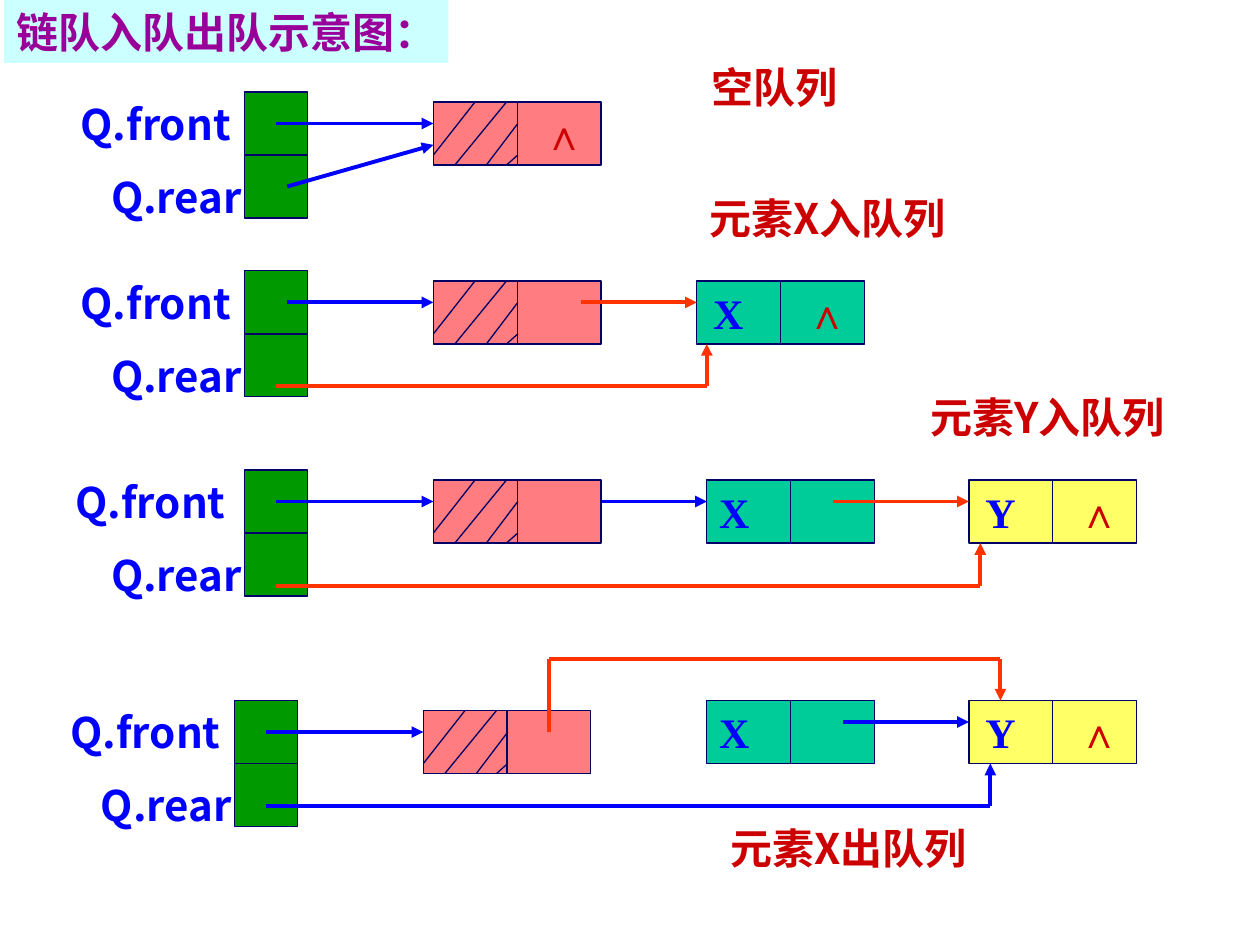
from dataclasses import dataclass
from itertools import pairwise

from pptx import Presentation
from pptx.dml.color import RGBColor
from pptx.enum.shapes import MSO_CONNECTOR as Connector, MSO_SHAPE as Preset
from pptx.enum.text import MSO_ANCHOR as Anchor, MSO_AUTO_SIZE as AutoSize, PP_ALIGN as Align
from pptx.oxml.ns import qn
from pptx.util import Inches, Pt


@dataclass(frozen=True)
class Theme:
    outline: str = "000066"
    pointer: str = "0000FF"
    change: str = "FF3300"
    caption: str = "CC0000"
    title: str = "990099"
    title_fill: str = "CCFFFF"
    queue_fill: str = "009900"
    head_fill: str = "FF7C80"
    x_fill: str = "00CC99"
    y_fill: str = "FFFF66"
    cjk_font: str = "Noto Sans CJK SC"
    title_font: str = "Montserrat"
    symbol_font: str = "Arial"
    node_font: str = "Times New Roman"
    size: int = 24
    thin: float = 0.75
    thick: float = 2.25


NODE_WIDTH, NODE_HEIGHT = 1.33, 0.5
QUEUE_WIDTH, QUEUE_HEIGHT = 0.5, 1
HATCHES = [((0.33, 0), (0, 0.42)), ((0.58, 0), (0.17, 0.5)),
           ((0.67, 0.17), (0.42, 0.5)), ((0.67, 0.42), (0.58, 0.5))]
NULL = "∧"


class QueueDiagram:
    def __init__(self, slide, theme):
        self.slide = slide
        self.theme = theme

    def format_run(self, run, color, font, east_asian=None):
        run.font.size = Pt(self.theme.size)
        run.font.bold = True
        run.font.name = font
        run.font.color.rgb = RGBColor.from_string(color)
        if east_asian:
            element = run.font._element.makeelement(qn("a:ea"), {"typeface": east_asian})
            run.font._element.find(qn("a:latin")).addnext(element)

    def format_frame(self, text_frame, left, right, anchor, wrap=True):
        text_frame.auto_size = AutoSize.NONE
        text_frame.word_wrap = wrap
        text_frame.vertical_anchor = anchor
        text_frame.margin_left, text_frame.margin_right = Inches(left), Inches(right)
        text_frame.margin_top = text_frame.margin_bottom = Inches(0.05)

    def title(self, text, left, top, width, height):
        shape = self.slide.shapes.title
        shape.left, shape.top = Inches(left), Inches(top)
        shape.width, shape.height = Inches(width), Inches(height)
        shape.fill.solid()
        shape.fill.fore_color.rgb = RGBColor.from_string(self.theme.title_fill)
        shape.text_frame.text = text
        self.format_frame(shape.text_frame, 0.1, 0.1, Anchor.TOP, wrap=False)
        paragraph = shape.text_frame.paragraphs[0]
        paragraph.alignment = Align.LEFT
        self.format_run(paragraph.runs[0], self.theme.title, self.theme.title_font,
                        self.theme.cjk_font)

    def label(self, text, left, top, width, height, color, side=0.1, font=None):
        shape = self.slide.shapes.add_textbox(
            Inches(left), Inches(top), Inches(width), Inches(height))
        shape.text_frame.text = text
        self.format_frame(shape.text_frame, side, side, Anchor.TOP)
        paragraph = shape.text_frame.paragraphs[0]
        paragraph.alignment = Align.CENTER
        self.format_run(paragraph.runs[0], color, font or self.theme.cjk_font,
                        self.theme.cjk_font)

    def caption(self, text, left, top, width=2.25, font=None):
        self.label(text, left, top, width, 0.5, self.theme.caption, font=font)

    def box(self, left, top, width, height, fill):
        shape = self.slide.shapes.add_shape(
            Preset.RECTANGLE, Inches(left), Inches(top), Inches(width), Inches(height))
        shape.shadow.inherit = False
        shape.fill.solid()
        shape.fill.fore_color.rgb = RGBColor.from_string(fill)
        shape.line.color.rgb = RGBColor.from_string(self.theme.outline)
        shape.line.width = Pt(self.theme.thin)
        return shape

    def line(self, start, end, color=None, width=None, arrow=False):
        connector = self.slide.shapes.add_connector(
            Connector.STRAIGHT, *map(Inches, start + end))
        connector.line.color.rgb = RGBColor.from_string(color or self.theme.outline)
        connector.line.width = Pt(width or self.theme.thin)
        properties = connector._element.spPr
        if arrow:
            outline = properties.find(qn("a:ln"))
            outline.append(outline.makeelement(qn("a:tailEnd"), {"type": "triangle"}))
        properties.append(properties.makeelement(qn("a:effectLst"), {}))

    def route(self, color, *points):
        for start, end in pairwise(points):
            self.line(start, end, color, self.theme.thick, arrow=end == points[-1])

    def node(self, left, top, fill, value="", null=False):
        shape = self.box(left, top, NODE_WIDTH, NODE_HEIGHT, fill)
        middle = left + NODE_WIDTH / 2
        self.line((middle, top), (middle, top + NODE_HEIGHT))
        if not value and not null:
            return
        self.format_frame(shape.text_frame, 0.13 if null else 0.1, 0, Anchor.MIDDLE)
        paragraph = shape.text_frame.paragraphs[0]
        paragraph.alignment = Align.LEFT
        run = paragraph.add_run()
        run.text = value + "\t" if null else value
        self.format_run(run, self.theme.pointer, self.theme.node_font)
        if null:
            run = paragraph.add_run()
            run.text = NULL
            self.format_run(run, self.theme.caption, self.theme.symbol_font)
            properties = paragraph._p.get_or_add_pPr()
            tabs = properties.makeelement(qn("a:tabLst"), {})
            tabs.append(tabs.makeelement(
                qn("a:tab"), {"pos": str(int(Inches(0.74))), "algn": "l"}))
            properties.append(tabs)

    def head_node(self, left, top, null=False):
        self.node(left, top, self.theme.head_fill, null=null)
        for start, end in HATCHES:
            self.line((left + start[0], top + start[1]), (left + end[0], top + end[1]))

    def queue(self, top, left=1.94, front_start=2.19, front_left=0.61, front_width=1.25,
              null=False):
        self.box(left, top, QUEUE_WIDTH, QUEUE_HEIGHT, self.theme.queue_fill)
        middle = top + QUEUE_HEIGHT / 2
        self.line((left, middle), (left + QUEUE_WIDTH, middle))
        self.label("Q.front", front_left, top, front_width, 0.9, self.theme.pointer, 0.02)
        self.label("Q.rear", left - 1.08, top + 0.58, 1.08, 0.9, self.theme.pointer, 0.02)
        self.head_node(left + 1.5, top + 0.08, null)
        self.route(self.theme.pointer, (front_start, top + 0.25), (left + 1.5, top + 0.25))


def main():
    presentation = Presentation()
    presentation.slide_width, presentation.slide_height = Inches(10), Inches(7.5)
    slide = presentation.slides.add_slide(presentation.slide_layouts[5])
    theme = Theme()
    diagram = QueueDiagram(slide, theme)
    diagram.title("链队入队出队示意图：", 0.03, 0, 3.53, 0.5)

    diagram.queue(0.73, null=True)
    diagram.route(theme.pointer, (2.28, 1.48), (3.44, 1.15))
    diagram.caption("空队列", 5.48, 0.44, 1.33, theme.symbol_font)

    diagram.queue(2.15, front_start=2.28)
    diagram.node(5.53, 2.23, theme.x_fill, "X", null=True)
    diagram.route(theme.change, (4.61, 2.4), (5.53, 2.4))
    diagram.route(theme.change, (2.19, 3.06), (5.61, 3.06), (5.61, 2.73))
    diagram.caption("元素X入队列", 5.44, 1.48)

    diagram.queue(3.73, front_left=0.53, front_width=1.33)
    diagram.node(5.61, 3.81, theme.x_fill, "X")
    diagram.node(7.69, 3.81, theme.y_fill, "Y", null=True)
    diagram.route(theme.pointer, (4.78, 3.98), (5.61, 3.98))
    diagram.route(theme.change, (6.61, 3.98), (7.69, 3.98))
    diagram.route(theme.change, (2.19, 4.65), (7.78, 4.65), (7.78, 4.31))
    diagram.caption("元素Y入队列", 7.19, 3.06)

    diagram.queue(5.56, left=1.86, front_start=2.11, front_left=0.53)
    diagram.node(5.61, 5.56, theme.x_fill, "X")
    diagram.node(7.69, 5.56, theme.y_fill, "Y", null=True)
    diagram.route(theme.pointer, (6.69, 5.73), (7.69, 5.73))
    diagram.route(theme.pointer, (2.11, 6.4), (7.86, 6.4), (7.86, 6.06))
    diagram.route(theme.change, (4.36, 5.81), (4.36, 5.23), (7.94, 5.23), (7.94, 5.56))
    diagram.caption("元素X出队列", 5.61, 6.48)

    presentation.save("out.pptx")


if __name__ == "__main__":
    main()
